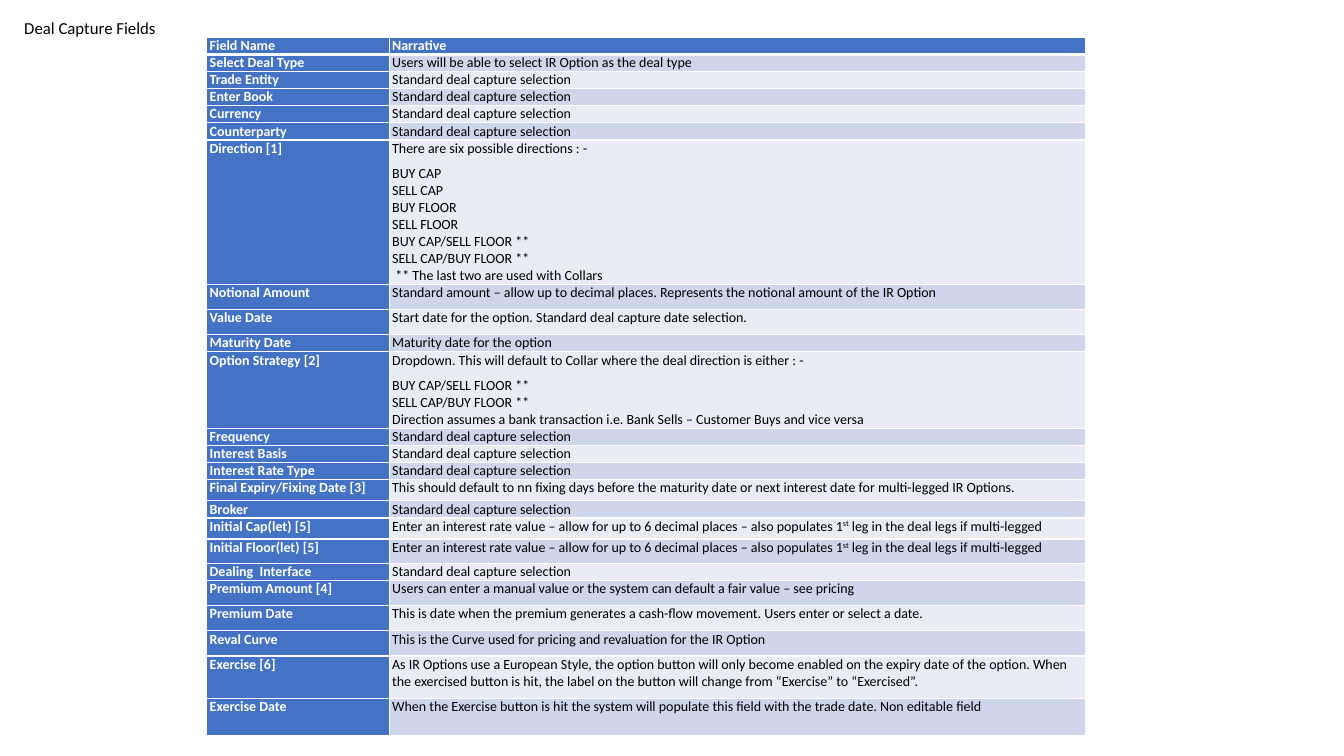
from lxml import etree
from pptx import Presentation
from pptx.dml.color import RGBColor
from pptx.enum.text import MSO_ANCHOR, MSO_AUTO_SIZE, PP_ALIGN
from pptx.oxml.ns import qn
from pptx.util import Inches, Pt

TITLE = "Deal Capture Fields"
STANDARD = "Standard deal capture selection"
# Carets enclose superscript text
RATE = ("Enter an interest rate value – allow for up to 6 decimal places – "
        "also populates 1^st^ leg in the deal legs if multi-legged")
LINE, TALL = 0.17, 0.25  # row heights in inches

# Field name, narrative lines, row height
FIELDS = [
    ("Field Name", ["Narrative"], LINE),
    ("Select Deal Type", ["Users will be able to select IR Option as the deal type"], LINE),
    ("Trade Entity", [STANDARD], LINE),
    ("Enter Book", [STANDARD], LINE),
    ("Currency", [STANDARD], LINE),
    ("Counterparty", [STANDARD], LINE),
    ("Direction [1]", [
        "There are six possible directions : -",
        "BUY CAP ", "SELL CAP", "BUY FLOOR", "SELL FLOOR",
        "BUY CAP/SELL FLOOR **", "SELL CAP/BUY FLOOR **",
        "\u00a0** The last two are used with Collars"], 1.37),
    ("Notional Amount", ["Standard amount – allow up to decimal places. "
                         "Represents the notional amount of the IR Option"], TALL),
    ("Value Date", ["Start date for the option. Standard deal capture date selection."], TALL),
    ("Maturity Date", ["Maturity date for the option"], LINE),
    ("Option Strategy [2]", [
        "Dropdown. This will default to Collar where the deal direction is either : -",
        "BUY CAP/SELL FLOOR **", "SELL CAP/BUY FLOOR **",
        "Direction assumes a bank transaction i.e. Bank Sells – Customer Buys "
        "and vice versa"], 0.76),
    ("Frequency", [STANDARD], LINE),
    ("Interest Basis", [STANDARD], LINE),
    ("Interest Rate Type", [STANDARD], LINE),
    ("Final Expiry/Fixing Date [3]", [
        "This should default to nn fixing days before the maturity date or next "
        "interest date for multi-legged IR Options."], 0.21),
    ("Broker", [STANDARD], LINE),
    ("Initial Cap(let) [5]", [RATE], 0.21),
    ("Initial Floor(let) [5]", [RATE], 0.24),
    ("Dealing  Interface", [STANDARD], LINE),
    ("Premium Amount [4]", ["Users can enter a manual value or the system can default "
                            "a fair value – see pricing"], TALL),
    ("Premium Date", ["This is date when the premium generates a cash-flow movement. "
                      "Users enter or select a date."], TALL),
    ("Reval Curve", ["This is the Curve used for pricing and revaluation for the IR Option"], TALL),
    ("Exercise [6]", [
        "As IR Options use a European Style, the option button will only become enabled "
        "on the expiry date of the option. When the exercised button is hit, the label "
        "on the button will change from “Exercise” to “Exercised”. "], 0.42),
    ("Exercise Date", ["When the Exercise button is hit the system will populate this "
                       "field with the trade date. Non editable field"], 0.37),
]

FONT = "Calibri"
WHITE, BLACK, BLUE = "FFFFFF", "000000", "4472C4"
BANDS = ("E9EBF5", "CFD5EA")  # even rows, odd rows
TABLE_LEFT, TABLE_TOP = 2.05, 0.37
COLUMN_WIDTHS = (1.81, 6.91)


def rgb(color):
    """Turn a hex string into a colour."""
    return RGBColor.from_string(color)


def style(paragraph, size, color, bold=False):
    """Set the font of a whole paragraph."""
    font = paragraph.font
    font.name, font.size, font.bold = FONT, Pt(size), bold
    font.color.rgb = rgb(color)


def add_runs(paragraph, line):
    """Write a line, raising the parts between carets."""
    for index, part in enumerate(line.split("^")):
        run = paragraph.add_run()
        run.text = part
        if index % 2:
            run._r.get_or_add_rPr().set("baseline", "30000")


def fill_cell(cell, lines, fill, color, bold):
    """Write lines into a cell, with a gap after the first and last."""
    cell.margin_left = cell.margin_right = Inches(0.03)
    cell.margin_top = cell.margin_bottom = 0
    cell.fill.solid()
    cell.fill.fore_color.rgb = rgb(fill)
    frame = cell.text_frame
    for index, line in enumerate(lines):
        paragraph = frame.add_paragraph() if index else frame.paragraphs[0]
        add_runs(paragraph, line)
        style(paragraph, 10, color, bold)
        paragraph.space_after = Pt(6 if index in (0, len(lines) - 1) else 0)


def add_borders(cell, **widths):
    """Draw white cell borders, given as L, R, T, B widths in points."""
    properties = cell._tc.get_or_add_tcPr()
    for index, (side, width) in enumerate(widths.items()):
        border = etree.Element(qn(f"a:ln{side}"), w=str(Pt(width)))
        solid = etree.SubElement(border, qn("a:solidFill"))
        etree.SubElement(solid, qn("a:srgbClr"), val=WHITE)
        properties.insert(index, border)


def add_title(slide):
    """Place the heading in the top left corner."""
    heading = slide.shapes.title
    heading.left, heading.top = Inches(0.14), Inches(0.03)
    heading.width, heading.height = Inches(13.19), Inches(0.5)
    frame = heading.text_frame
    frame.text = TITLE
    frame.auto_size = MSO_AUTO_SIZE.NONE
    frame.vertical_anchor = MSO_ANCHOR.MIDDLE
    frame.paragraphs[0].alignment = PP_ALIGN.LEFT
    style(frame.paragraphs[0], 12, BLACK)


def add_fields(slide):
    """Build the table of fields and their narratives."""
    table = slide.shapes.add_table(
        len(FIELDS), len(COLUMN_WIDTHS), Inches(TABLE_LEFT), Inches(TABLE_TOP),
        Inches(sum(COLUMN_WIDTHS)), Inches(sum(height for *_, height in FIELDS))).table
    table.first_col = True
    for column, width in zip(table.columns, COLUMN_WIDTHS):
        column.width = Inches(width)
    for index, (name, narrative, height) in enumerate(FIELDS):
        table.rows[index].height = Inches(height)
        header = index == 0
        name_cell, narrative_cell = table.rows[index].cells
        fill_cell(name_cell, [name], BLUE, WHITE, True)
        fill_cell(narrative_cell, narrative, BLUE if header else BANDS[index % 2],
                  WHITE if header else BLACK, header)
        if header:
            for cell in (name_cell, narrative_cell):
                add_borders(cell, L=1, R=1, T=1, B=3)


deck = Presentation()
deck.slide_width, deck.slide_height = Inches(13.33), Inches(7.5)
page = deck.slides.add_slide(deck.slide_layouts[5])
add_title(page)
add_fields(page)
deck.save("out.pptx")
